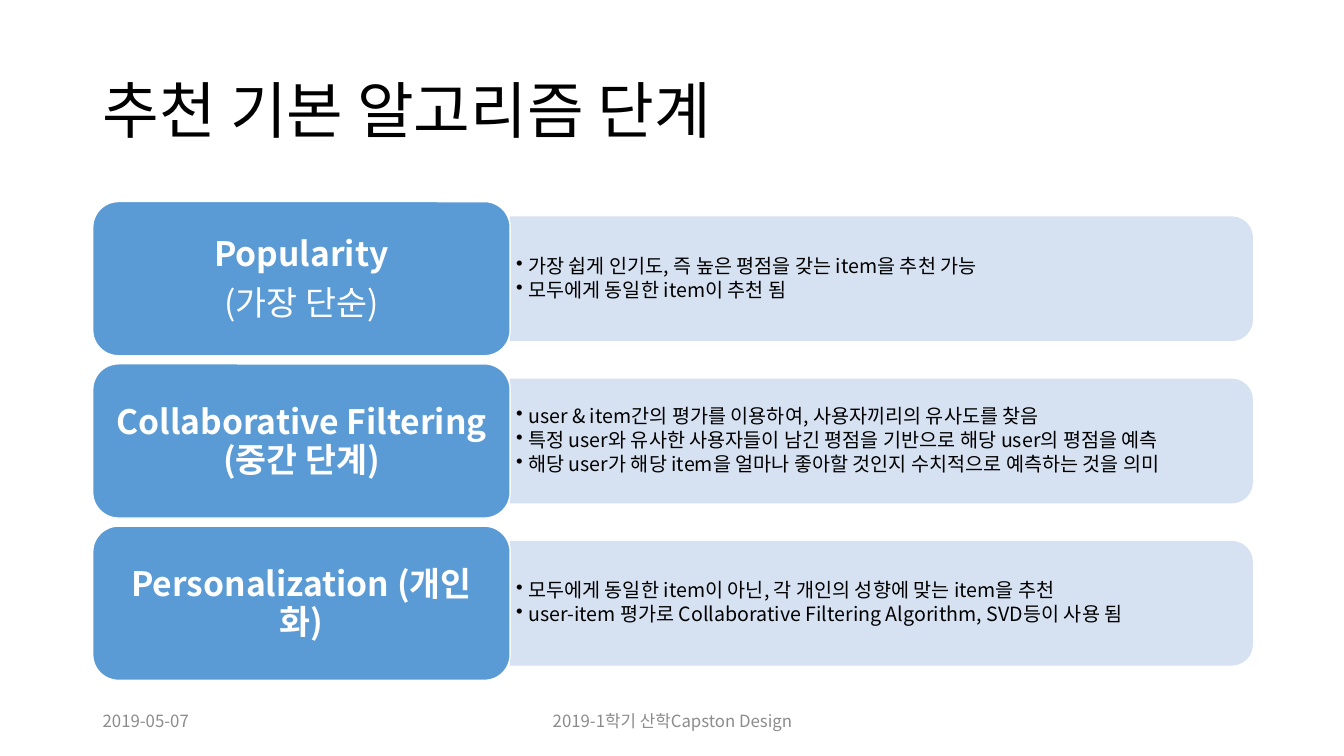
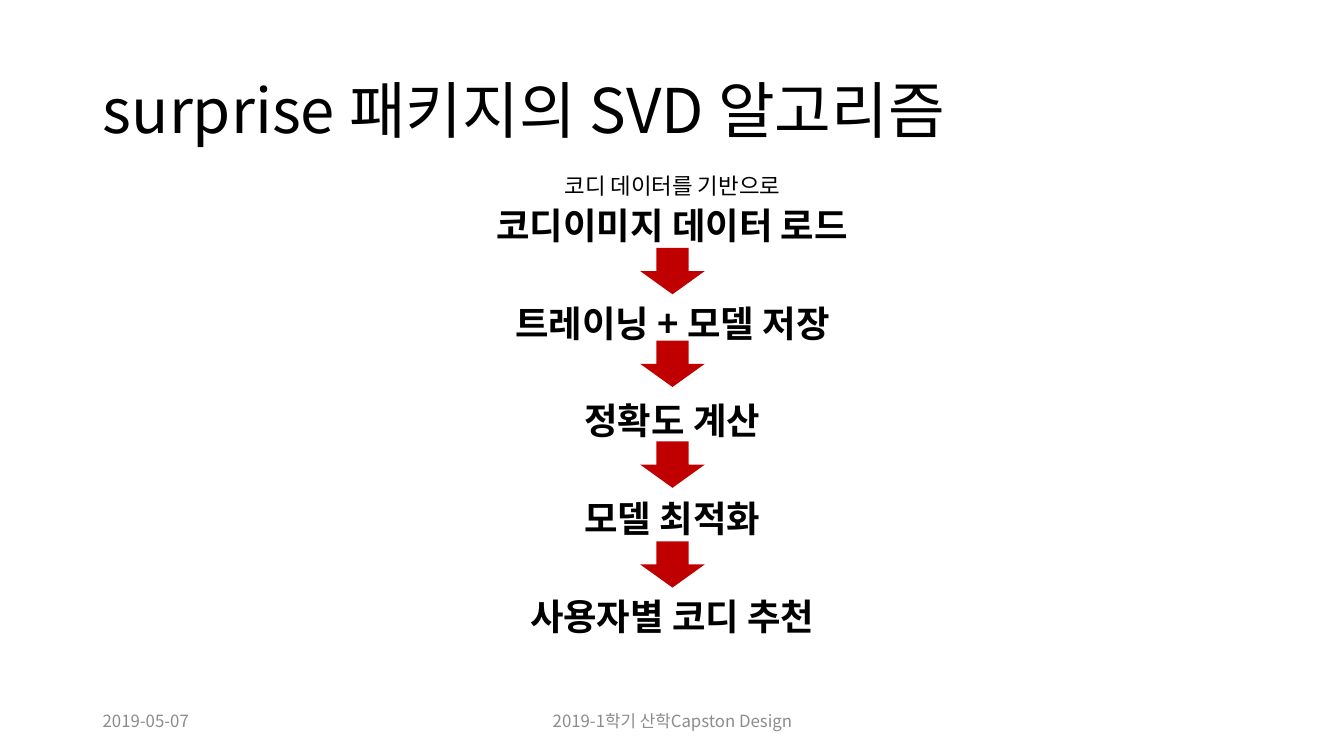
from dataclasses import dataclass

from pptx import Presentation
from pptx.dml.color import RGBColor
from pptx.enum.shapes import MSO_SHAPE
from pptx.enum.text import MSO_ANCHOR, PP_ALIGN
from pptx.oxml.ns import qn
from pptx.util import Inches, Pt

FONT = "Noto Sans CJK KR"
COLORS = {
    "text": "000000",
    "footer": "8C8C8C",
    "card": "5B9BD5",
    "panel": "D6E1F1",
    "white": "FFFFFF",
    "arrow": "C00000",
}
LEFT, CENTER = PP_ALIGN.LEFT, PP_ALIGN.CENTER
MIDDLE = MSO_ANCHOR.MIDDLE
ROUND_CARD = MSO_SHAPE.ROUNDED_RECTANGLE
ROUND_PANEL = MSO_SHAPE.ROUND_2_SAME_RECTANGLE
DOWN_ARROW = MSO_SHAPE.DOWN_ARROW
TITLE_ONLY = 5


@dataclass
class Box:
    """A region of a slide, in inches."""
    left: float
    top: float
    width: float
    height: float

    def lengths(self):
        return [Inches(n) for n in (self.left, self.top, self.width, self.height)]


CONTENT = Box(0.92, 2, 11.5, 4.75)
TITLE = Box(0.92, 0.4, 11.5, 1.45)
DATE = Box(0.92, 6.95, 3, 0.4)
FOOTER = Box(4.42, 6.95, 4.5, 0.4)

STAGES = [
    (["Popularity", "(가장 단순)"],
     ["가장 쉽게 인기도, 즉 높은 평점을 갖는 item을 추천 가능",
      "모두에게 동일한 item이 추천 됨"]),
    (["Collaborative Filtering (중간 단계)"],
     ["user & item간의 평가를 이용하여, 사용자끼리의 유사도를 찾음",
      "특정 user와 유사한 사용자들이 남긴 평점을 기반으로 해당 user의 평점을 예측",
      "해당 user가 해당 item을 얼마나 좋아할 것인지 수치적으로 예측하는 것을 의미"]),
    (["Personalization (개인화)"],
     ["모두에게 동일한 item이 아닌, 각 개인의 성향에 맞는 item을 추천",
      "user-item 평가로 Collaborative Filtering Algorithm, SVD등이 사용 됨"]),
]
STEPS = ["코디이미지 데이터 로드", "트레이닝 + 모델 저장", "정확도 계산",
         "모델 최적화", "사용자별 코디 추천"]
ARROW_TOPS = [2.46, 3.38, 4.38, 5.37]


def rgb(name):
    return RGBColor.from_string(COLORS[name])


def write_lines(shape, lines, size, color="text", align=LEFT, bold=False,
                line_spacing=None, space_after=None):
    """Fill a shape with one formatted paragraph per line."""
    frame = shape.text_frame
    frame.word_wrap = True
    frame.vertical_anchor = MIDDLE
    frame.text = "\n".join(lines)
    for paragraph in frame.paragraphs:
        paragraph.alignment = align
        paragraph.line_spacing = line_spacing
        paragraph.space_after = space_after
        for run in paragraph.runs:
            font = run.font
            font.name, font.size, font.bold = FONT, Pt(size), bold
            font.color.rgb = rgb(color)
            east_asian = run._r.get_or_add_rPr().makeelement(
                qn("a:ea"), {"typeface": FONT})
            font._element.find(qn("a:latin")).addnext(east_asian)
    return frame


def add_text(slide, box, lines, size, **style):
    shape = slide.shapes.add_textbox(*box.lengths())
    return write_lines(shape, lines, size, **style)


def add_filled_shape(slide, kind, box, fill, line=None):
    shape = slide.shapes.add_shape(kind, *box.lengths())
    shape.shadow.inherit = False
    shape.fill.solid()
    shape.fill.fore_color.rgb = rgb(fill)
    if line:
        shape.line.color.rgb = rgb(line)
        shape.line.width = Pt(1)
    else:
        shape.line.fill.background()
    return shape


def add_bullets(frame, indent):
    for paragraph in frame.paragraphs:
        properties = paragraph._p.get_or_add_pPr()
        properties.set("marL", str(Inches(indent)))
        properties.set("indent", str(-Inches(indent)))
        properties.append(properties.makeelement(qn("a:buChar"), {"char": "•"}))


def add_titled_slide(presentation, title):
    """Add a slide with the shared title, date and footer."""
    slide = presentation.slides.add_slide(presentation.slide_layouts[TITLE_ONLY])
    shape = slide.shapes.title
    shape.left, shape.top, shape.width, shape.height = TITLE.lengths()
    write_lines(shape, [title], 44, line_spacing=0.9)
    add_text(slide, DATE, ["2019-05-07"], 12, color="footer")
    add_text(slide, FOOTER, ["2019-1학기 산학Capston Design"], 12,
             color="footer", align=CENTER)
    return slide


def add_stage(slide, box, heading, details):
    """Add a heading card with a panel of bullets to its right."""
    card_width = box.width * 0.36
    panel_height = box.height * 0.8
    panel = Box(box.left + card_width, box.top + (box.height - panel_height) / 2,
                box.width - card_width, panel_height)

    # The two rounded corners face right after a quarter turn.
    upright = Box(panel.left + (panel.width - panel.height) / 2,
                  panel.top + (panel.height - panel.width) / 2,
                  panel.height, panel.width)
    background = add_filled_shape(slide, ROUND_PANEL, upright, "panel", "panel")
    background.rotation = 90
    frame = add_text(slide, panel, details, 14,
                     line_spacing=Pt(15), space_after=Pt(2.1))
    frame.margin_left = frame.margin_right = Inches(0.06)
    add_bullets(frame, 0.12)

    card = add_filled_shape(slide, ROUND_CARD,
                            Box(box.left, box.top, card_width, box.height),
                            "card", "white")
    frame = write_lines(card, heading, 24, color="white", align=CENTER, bold=True,
                        line_spacing=Pt(27), space_after=Pt(8.4))
    for paragraph in frame.paragraphs[1:]:
        paragraph.runs[0].font.bold = False


def build_stages_slide(presentation):
    slide = add_titled_slide(presentation, "추천 기본 알고리즘 단계")
    height, pitch = 1.53, 1.61
    for index, (heading, details) in enumerate(STAGES):
        row = Box(CONTENT.left, CONTENT.top + index * pitch, CONTENT.width, height)
        add_stage(slide, row, heading, details)


def add_flow(slide, box):
    """Add centred steps at equal distances, with arrows between them."""
    pitch, step_height = 0.97, 0.5
    for index, step in enumerate(STEPS):
        row = Box(box.left, box.top + index * pitch, box.width, step_height)
        add_text(slide, row, [step], 26, align=CENTER, bold=True)
    arrow_width, arrow_height = 0.64, 0.46
    arrow_left = box.left + (box.width - arrow_width) / 2
    for top in ARROW_TOPS:
        add_filled_shape(slide, DOWN_ARROW,
                         Box(arrow_left, top, arrow_width, arrow_height), "arrow")


def build_flow_slide(presentation):
    slide = add_titled_slide(presentation, "surprise 패키지의 SVD 알고리즘")
    intro = Box(CONTENT.left, 1.64, CONTENT.width, 0.4)
    add_text(slide, intro, ["코디 데이터를 기반으로"], 16, align=CENTER)
    add_flow(slide, Box(CONTENT.left, 1.98, CONTENT.width, CONTENT.height))


def main():
    presentation = Presentation()
    presentation.slide_width = Inches(13.33)
    presentation.slide_height = Inches(7.5)
    build_stages_slide(presentation)
    build_flow_slide(presentation)
    presentation.save("out.pptx")


if __name__ == "__main__":
    main()
